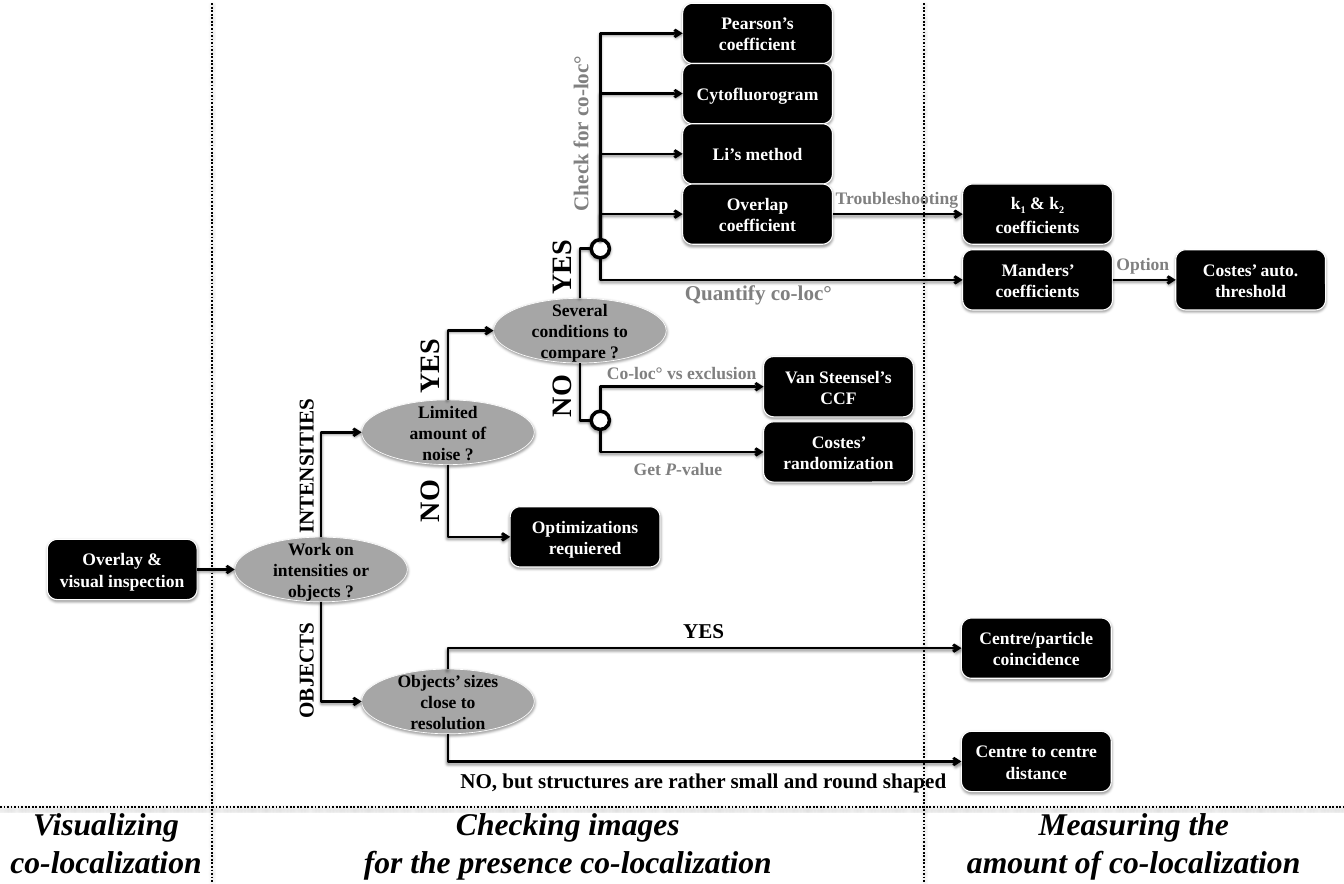
from pptx import Presentation
from pptx.dml.color import RGBColor
from pptx.enum.dml import MSO_LINE
from pptx.enum.shapes import MSO_CONNECTOR, MSO_SHAPE
from pptx.enum.text import MSO_ANCHOR, PP_ALIGN
from pptx.oxml import parse_xml
from pptx.oxml.ns import nsdecls, qn
from pptx.util import Cm, Pt

BOX, OVAL = MSO_SHAPE.ROUNDED_RECTANGLE, MSO_SHAPE.OVAL
STRAIGHT, ELBOW = MSO_CONNECTOR.STRAIGHT, MSO_CONNECTOR.ELBOW
DOTTED, CENTER, MIDDLE = MSO_LINE.ROUND_DOT, PP_ALIGN.CENTER, MSO_ANCHOR.MIDDLE
BLACK, WHITE, GREY, SILVER = "000000", "FFFFFF", "808080", "A6A6A6"
FONT = "Times New Roman"
TOP, LEFT, BOTTOM, RIGHT = range(4)


def write_text(frame, text, size, colour, italic=False):
    for index, line in enumerate(text.split("\n")):
        paragraph = frame.add_paragraph() if index else frame.paragraphs[0]
        paragraph.alignment = CENTER
        for position, part in enumerate(line.split("~")):
            marked = position % 2 == 1
            run = paragraph.add_run()
            run.text = part
            font_format = {"name": FONT, "size": Pt(size), "bold": True,
                           "italic": italic or (marked and part.isalpha())}
            for name, value in font_format.items():
                setattr(run.font, name, value)
            run.font.color.rgb = RGBColor.from_string(colour)
            if marked and part.isdigit():
                run.font._element.set("baseline", "-25000")


def add_shadow(shape, opacity):
    shape._element.spPr.append(parse_xml(
        f'<a:effectLst {nsdecls("a")}><a:outerShdw blurRad="39370" dist="22860" '
        f'dir="5400000" rotWithShape="0"><a:srgbClr val="{BLACK}">'
        f'<a:alpha val="{opacity}000"/></a:srgbClr></a:outerShdw></a:effectLst>'))


presentation = Presentation()
presentation.slide_width, presentation.slide_height = Cm(54), Cm(35.5)
slide = presentation.slides.add_slide(presentation.slide_layouts[6])
shapes = slide.shapes

node_styles = {
    "question": (OVAL, 6.94, 2.6, SILVER, WHITE, 0.75, BLACK),
    "step": (BOX, 6.02, 2.42, BLACK, WHITE, 1.25, WHITE),
    "junction": (OVAL, 0.74, 0.74, WHITE, BLACK, 4, BLACK),
}
method_x, measure_x, object_x, random_x = 30.44, 41.69, 41.64, 33.69
method_rows = [1.34 + 2.42 * row for row in range(4)]
start_y, manders_y = 22.87, 11.24
nodes = {
    "noise": ("question", 18, 17.36, "Limited amount of noise ?"),
    "work": ("question", 12.9, start_y, "Work on intensities or objects ?"),
    "conditions": ("question", 23.3, 13.28, "Several conditions to compare ?"),
    "sizes": ("question", 18, 28.17, "Objects’ sizes close to resolution"),
    "pearson": ("step", method_x, method_rows[0], "Pearson’s coefficient"),
    "cytofluorogram": ("step", method_x, method_rows[1], "Cytofluorogram"),
    "li": ("step", method_x, method_rows[2], "Li’s method"),
    "overlap": ("step", method_x, method_rows[3], "Overlap coefficient"),
    "k": ("step", measure_x, method_rows[3], "k~1~ & k~2~ coefficients"),
    "manders": ("step", measure_x, manders_y, "Manders’ coefficients"),
    "threshold": ("step", 50.25, manders_y, "Costes’ auto. threshold"),
    "ccf": ("step", random_x, 15.53, "Van Steensel’s CCF"),
    "randomization": ("step", random_x, 18.15, "Costes’ randomization"),
    "overlay": ("step", 4.91, start_y, "Overlay & visual inspection"),
    "optimizations": ("step", 23.51, 21.56, "Optimizations requiered"),
    "coincidence": ("step", object_x, 26.03, "Centre/particle coincidence"),
    "distance": ("step", object_x, 30.58, "Centre to centre distance"),
    "several": ("junction", 24.12, 9.99, ""),
    "single": ("junction", 24.12, 16.88, ""),
}
node_shapes = {}
for key, (kind, x, y, text) in nodes.items():
    preset, width, height, fill, line, weight, text_colour = node_styles[kind]
    shape = shapes.add_shape(preset, Cm(x - width / 2), Cm(y - height / 2), Cm(width), Cm(height))
    shape.fill.solid()
    shape.fill.fore_color.rgb = RGBColor.from_string(fill)
    shape.line.color.rgb = RGBColor.from_string(line)
    shape.line.width = Pt(weight)
    add_shadow(shape, 35)
    frame_format = {"margin_left": Cm(0.36), "margin_right": Cm(0.36), "margin_top": Cm(0.18),
                    "margin_bottom": Cm(0.18), "word_wrap": True, "vertical_anchor": MIDDLE}
    for name, value in frame_format.items():
        setattr(shape.text_frame, name, value)
    if text:
        write_text(shape.text_frame, text, 20, text_colour)
    node_shapes[key] = shape

flows = {
    "overlay": ["work"],
    "work": ["noise", "sizes"],
    "noise": ["conditions", "optimizations"],
    "conditions": ["several", "single"],
    "several": ["pearson", "cytofluorogram", "li", "overlap", "manders"],
    "single": ["ccf", "randomization"],
    "overlap": ["k"],
    "manders": ["threshold"],
    "sizes": ["coincidence", "distance"],
}
strokes = []
for source, targets in flows.items():
    for target in targets:
        rise = nodes[source][2] - nodes[target][2]
        side = RIGHT if rise == 0 else TOP if rise > 0 else BOTTOM
        connector = shapes.add_connector(ELBOW if rise else STRAIGHT, 0, 0, 0, 0)
        connector.begin_connect(node_shapes[source], side)
        connector.end_connect(node_shapes[target], LEFT)
        for key, tag, site in ((source, "a:stCxn", side), (target, "a:endCxn", LEFT)):
            if nodes[key][0] != "step":
                next(connector._element.iter(qn(tag))).set("idx", str(site * 2))
        if rise:
            center_x = (connector.begin_x + connector.end_x) // 2
            center_y = (connector.begin_y + connector.end_y) // 2
            width, height = connector.height, connector.width
            frame = {"left": center_x - width // 2, "top": center_y - height // 2,
                     "width": width, "height": height}
            for name, value in frame.items():
                setattr(connector, name, value)
            properties = connector._element.spPr
            properties.xfrm.flipH = True
            properties.xfrm.rot = 90 if rise > 0 else 270
            properties.prstGeom.set("prst", "bentConnector2")
        strokes.append((connector, 3, None, nodes[target][0] != "junction"))

label_heights = {20: 1.12, 24: 1.27, 32: 1.62}
labels = [
    ("YES", 28.27, 25.32, 2.18, 24, BLACK, 0),
    ("NO", 22.5, 15.9, 2.24, 32, BLACK, 270),
    ("YES", 22.5, 10.74, 2.72, 32, BLACK, 270),
    ("NO, but structures are rather small and round shaped", 28.26, 31.34, 20.24, 24, BLACK, 0),
    ("YES", 17.2, 14.71, 2.72, 32, BLACK, 270),
    ("NO", 17.2, 20.12, 2.24, 32, BLACK, 270),
    ("INTENSITIES", 12.26, 18.72, 5.97, 24, BLACK, 270),
    ("OBJECTS", 12.26, 26.92, 4.42, 24, BLACK, 270),
    ("Check for co-loc°", 23.3, 5.36, 6.83, 24, GREY, 270),
    ("Quantify co-loc°", 30.47, 11.73, 6.48, 24, GREY, 0),
    ("Troubleshooting", 36.04, 7.95, 5.49, 20, GREY, 0),
    ("Option", 45.92, 10.59, 2.64, 20, GREY, 0),
    ("Co-loc° vs exclusion", 27.39, 14.96, 6.58, 20, GREY, 0),
    ("Get ~P~-value", 27.24, 18.82, 4.29, 20, GREY, 0),
]
for text, x, y, width, size, colour, rotation in labels:
    height = label_heights[size]
    label = shapes.add_textbox(Cm(x - width / 2), Cm(y - height / 2), Cm(width), Cm(height))
    label.rotation = rotation
    label.text_frame.word_wrap = False
    write_text(label.text_frame, text, size, colour)

phases = [
    ("Visualizing\nco-localization", 0, 8.53),
    ("Checking images\nfor the presence co-localization", 8.53, 37.11),
    ("Measuring the\namount of co-localization", 37.11, 54),
]
dividers = [(0, 32.41, 54, 32.41)]
for text, left, right in phases:
    title = shapes.add_textbox(Cm(left), Cm(32.16), Cm(right - left), Cm(3.33))
    title.text_frame.word_wrap = True
    write_text(title.text_frame, text, 36, BLACK, italic=True)
    if left:
        dividers.append((left, 0.13, left, 35.48))
for ends in dividers:
    divider = shapes.add_connector(STRAIGHT, *[Cm(end) for end in ends])
    strokes.append((divider, 2, DOTTED, False))

for connector, weight, dash, arrow in strokes:
    connector.line.color.rgb = RGBColor.from_string(BLACK)
    connector.line.width = Pt(weight)
    if dash:
        connector.line.dash_style = dash
    if arrow:
        connector.line._get_or_add_ln().append(parse_xml(f'<a:tailEnd {nsdecls("a")} type="arrow"/>'))
    add_shadow(connector, 38)

presentation.save("out.pptx")
